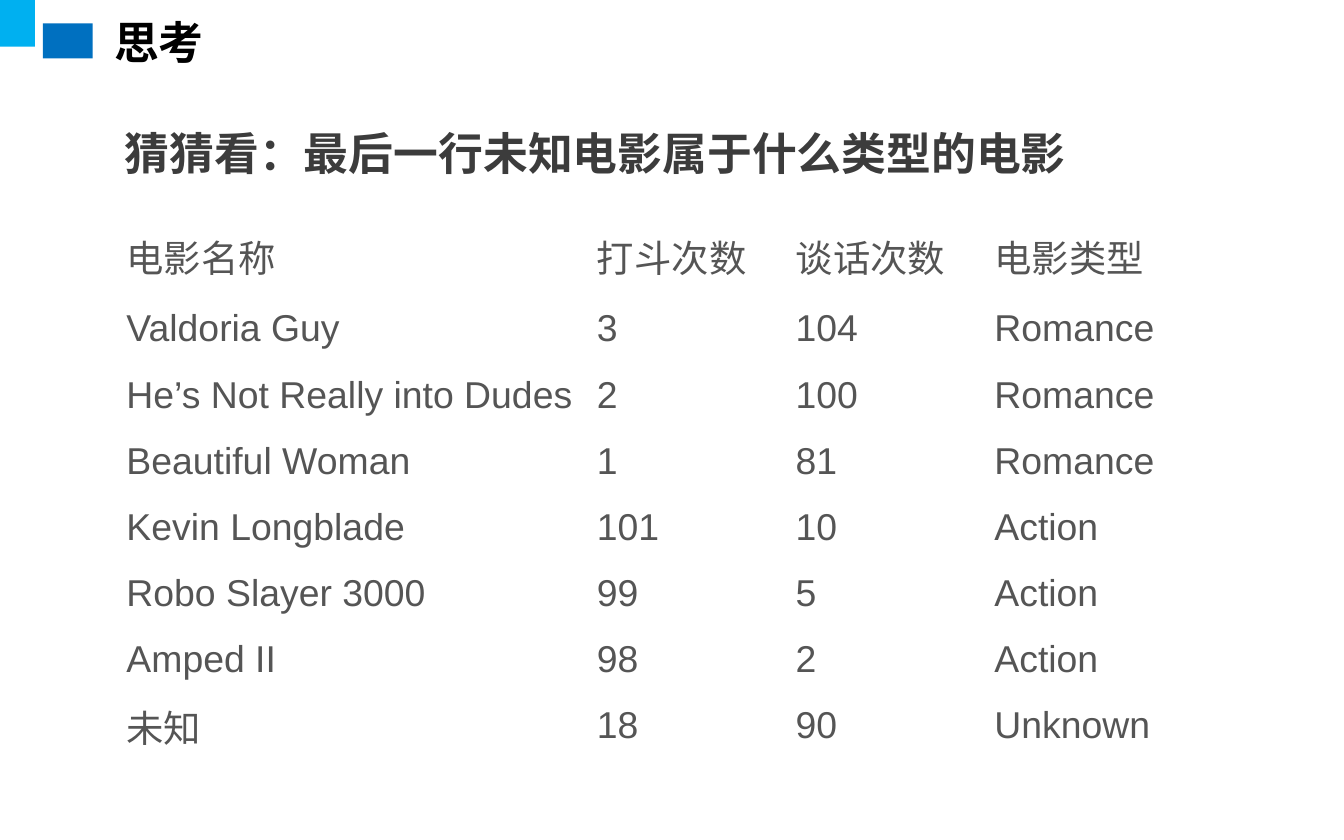
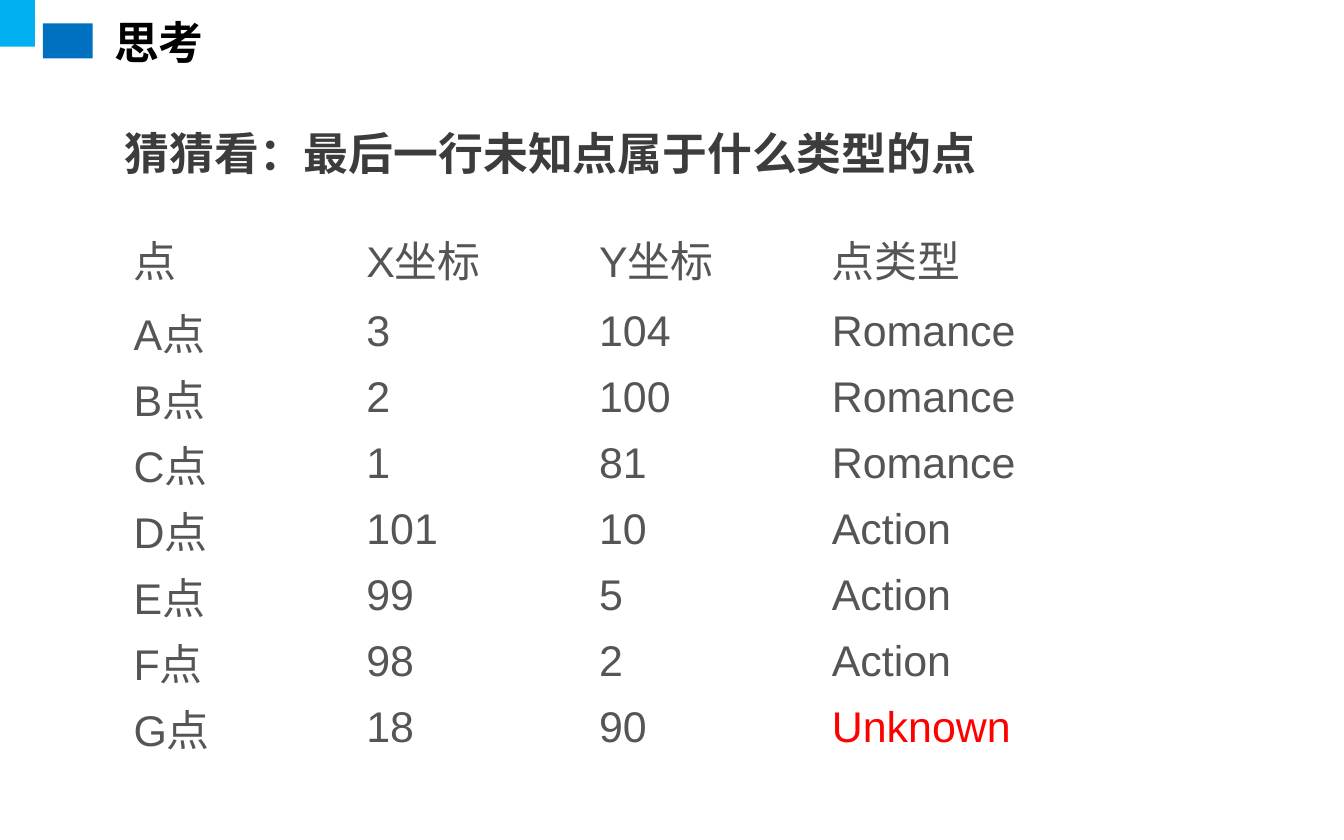
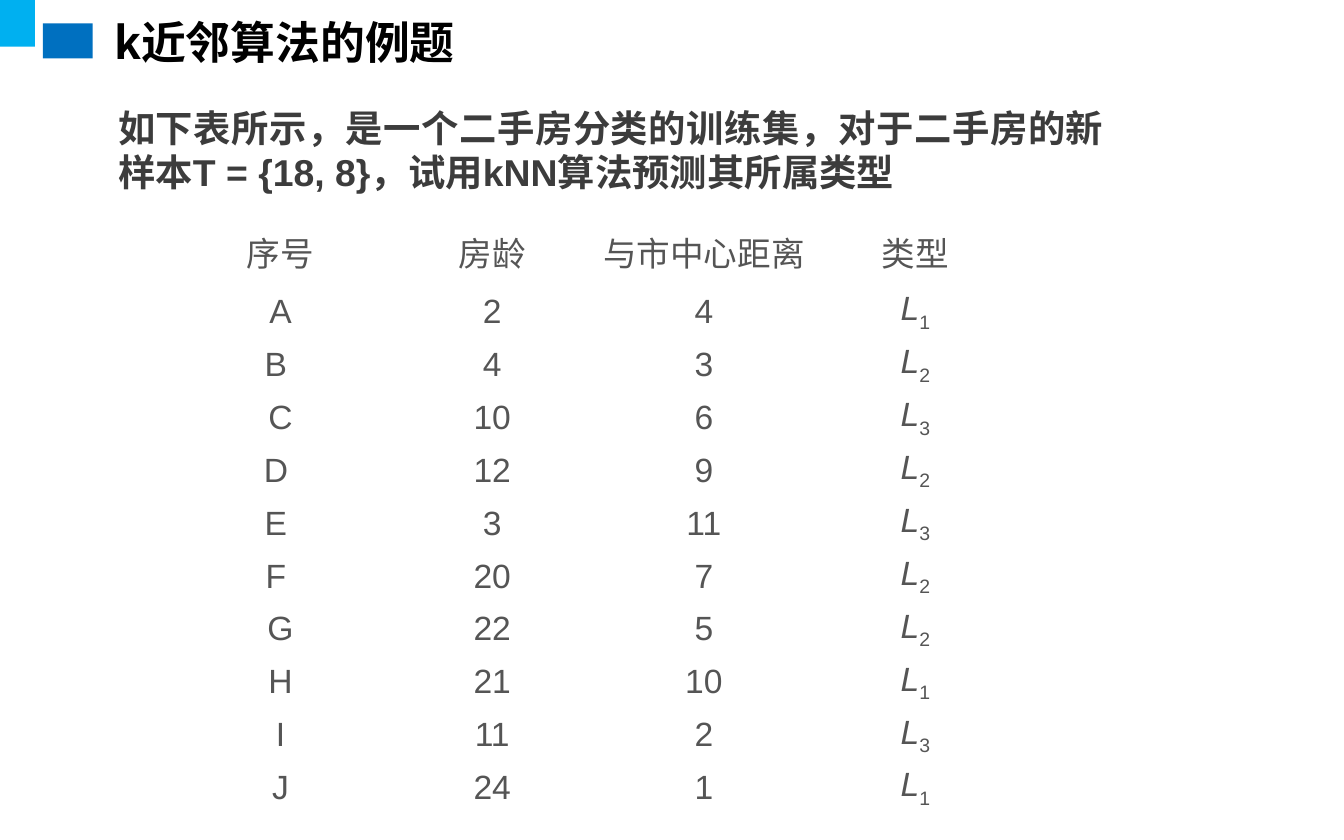
from dataclasses import dataclass

from lxml import etree
from pptx import Presentation
from pptx.dml.color import RGBColor
from pptx.enum import shapes, text
from pptx.oxml import ns
from pptx.util import Pt

# Content: "_" marks a subscript
SLIDES = [
    dict(
        title="思考",
        heading="猜猜看：最后一行未知电影属于什么类型的电影",
        heading_box=(59.8, 64, 595.4, 36), heading_size=24,
        table_at=(67, 116), cols=(252, 106.5, 106.5, 106.5), rows=(42.5, 35.45),
        size=20, align=text.PP_ALIGN.LEFT, marked=None,
        table=[
            ("电影名称", "打斗次数", "谈话次数", "电影类型"),
            ("Valdoria Guy ", "3", "104", "Romance"),
            ("He’s Not Really into Dudes ", "2", "100", "Romance"),
            ("Beautiful Woman ", "1", "81", "Romance"),
            ("Kevin Longblade ", "101", "10", "Action"),
            ("Robo Slayer 3000 ", "99", "5", "Action"),
            ("Amped II ", "98", "2", "Action"),
            ("未知", "18", "90", "Unknown"),
        ],
    ),
    dict(
        title="思考",
        heading="猜猜看：最后一行未知点属于什么类型的点",
        heading_box=(59.8, 64, 528.5, 36), heading_size=24,
        table_at=(70.8, 117.2), cols=(124.7,) * 4, rows=(42.5, 35.45),
        size=23, align=text.PP_ALIGN.LEFT, marked="Unknown",
        table=[
            ("点", "X坐标", "Y坐标", "点类型"),
            ("A点 ", "3", "104", "Romance"),
            ("B点 ", "2", "100", "Romance"),
            ("C点 ", "1", "81", "Romance"),
            ("D点 ", "101", "10", "Action"),
            ("E点 ", "99", "5", "Action"),
            ("F点", "98", "2", "Action"),
            ("G点", "18", "90", "Unknown"),
        ],
    ),
    dict(
        title="k近邻算法的例题",
        heading="如下表所示，是一个二手房分类的训练集，对于二手房的新样本"
                "T = {18, 8}，试用kNN算法预测其所属类型",
        heading_box=(56.2, 52.6, 542.2, 55.4), heading_size=20,
        table_at=(93.6, 117.4), cols=(113.4,) * 4, rows=(35.45, 28.35),
        size=18, align=text.PP_ALIGN.CENTER, marked=None,
        table=[
            ("序号", "房龄", "与市中心距离", "类型"),
            ("A", "2", "4", "L_1"),
            ("B ", "4", "3", "L_2"),
            ("C", "10", "6", "L_3"),
            ("D ", "12", "9", "L_2"),
            ("E ", "3", "11", "L_3"),
            ("F ", "20", "7", "L_2"),
            ("G", "22", "5", "L_2"),
            ("H", "21", "10", "L_1"),
            ("I", "11", "2", "L_3"),
            ("J", "24", "1", "L_1"),
        ],
    ),
]


@dataclass(frozen=True)
class Theme:
    sky: str = "00B0F0"
    blue: str = "0070C0"
    title: str = "000000"
    heading: str = "3C3C3C"
    body: str = "555555"
    mark: str = "FF0000"
    latin: str = "Arial"
    cjk: str = "Noto Sans CJK SC"
    title_size: float = 24
    cell_margin: float = 0.75


THEME = Theme()
BAND = [((-0.7, 0, 19.4, 25), THEME.sky), ((23, 12.5, 26.7, 18.8), THEME.blue)]
TITLE_BOX = (54, 5.8, 470, 33)


def points(values):
    return [Pt(v) for v in values]


def style(p, size, color, font=THEME.latin, bold=False):
    f = p.font
    f.size, f.bold, f.name = Pt(size), bold, font
    f.color.rgb = RGBColor.from_string(color)
    # East Asian typeface follows the Latin one
    rpr = p._p.pPr.find(ns.qn("a:defRPr"))
    ea = etree.Element(ns.qn("a:ea"), typeface=THEME.cjk)
    rpr.find(ns.qn("a:latin")).addnext(ea)


def add_band(s):
    for box, color in BAND:
        sp = s.shapes.add_shape(shapes.MSO_SHAPE.RECTANGLE, *points(box))
        sp.shadow.inherit = False
        sp.fill.solid()
        sp.fill.fore_color.rgb = RGBColor.from_string(color)
        sp.line.fill.background()


def add_text(s, box, words, size, color, **font):
    tf = s.shapes.add_textbox(*points(box)).text_frame
    tf.word_wrap = True
    p = tf.paragraphs[0]
    p.add_run().text = words
    style(p, size, color, **font)
    return tf


def fill_cell(cell, words, item):
    cell.fill.background()
    cell.vertical_anchor = text.MSO_ANCHOR.MIDDLE
    cell.margin_left = cell.margin_right = Pt(THEME.cell_margin)
    cell.margin_top = cell.margin_bottom = Pt(THEME.cell_margin)
    p = cell.text_frame.paragraphs[0]
    p.alignment = item["align"]
    base, _, sub = words.partition("_")
    r = p.add_run()
    r.text = base
    if sub:
        r.font.italic = True
        r = p.add_run()
        r.text = sub
        r._r.get_or_add_rPr().set("baseline", "-25000")
    style(p, item["size"], THEME.mark if words == item["marked"] else THEME.body)


def add_data_table(s, item):
    data, cols = item["table"], item["cols"]
    first, rest = item["rows"]
    heights = [first] + [rest] * (len(data) - 1)
    box = (*item["table_at"], sum(cols), sum(heights))
    table = s.shapes.add_table(len(data), len(cols), *points(box)).table
    table.first_row = table.horz_banding = False
    for col, width in zip(table.columns, cols):
        col.width = Pt(width)
    for row, height, values in zip(table.rows, heights, data):
        row.height = Pt(height)
        for cell, words in zip(row.cells, values):
            fill_cell(cell, words, item)


def main():
    prs = Presentation()
    prs.slide_width, prs.slide_height = Pt(720), Pt(450)
    for item in SLIDES:
        s = prs.slides.add_slide(prs.slide_layouts[6])
        add_band(s)
        tf = add_text(s, TITLE_BOX, item["title"], THEME.title_size,
                      THEME.title, font=THEME.cjk, bold=True)
        tf.vertical_anchor = text.MSO_ANCHOR.MIDDLE
        add_data_table(s, item)
        tf = add_text(s, item["heading_box"], item["heading"],
                      item["heading_size"], THEME.heading, bold=True)
        tf.auto_size = text.MSO_AUTO_SIZE.SHAPE_TO_FIT_TEXT
        tf.paragraphs[0].alignment = text.PP_ALIGN.JUSTIFY
    prs.save("out.pptx")


if __name__ == "__main__":
    main()
